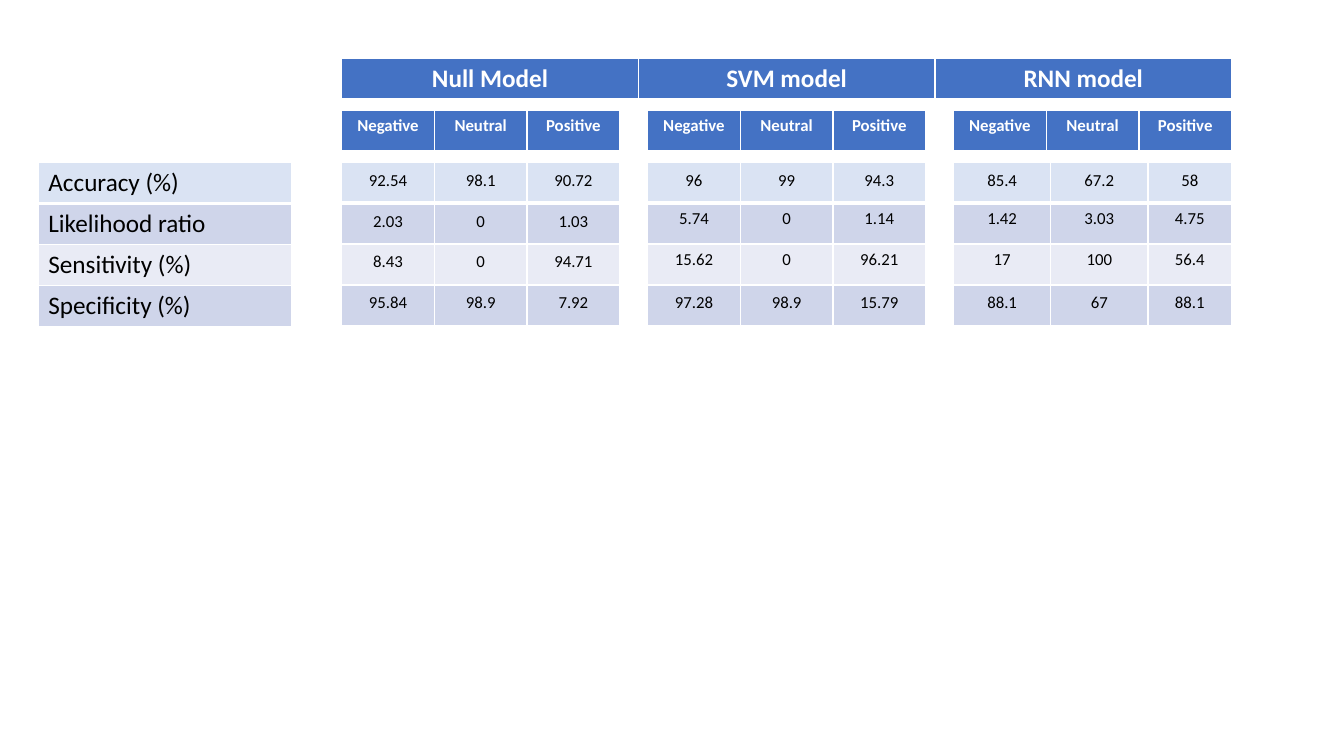
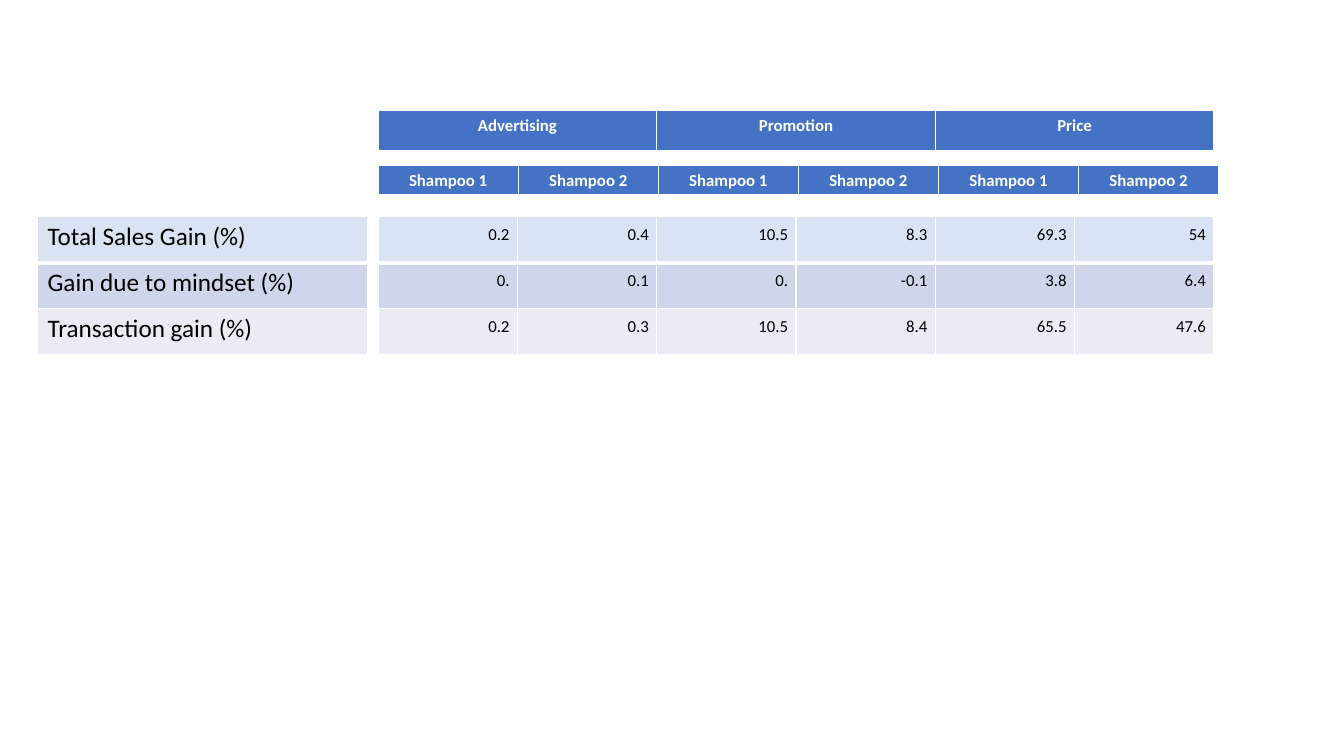
import pptx
import pptx.dml.color
import pptx.enum.text
import pptx.oxml
import pptx.oxml.ns
import pptx.util

Cm = pptx.util.Cm
ALIGN = pptx.enum.text.PP_ALIGN

FONT = "Calibri"
WHITE = "FFFFFF"
BLACK = "000000"
HEADER_FILL = "4472C4"
ROW_FILLS = ["DAE3F3", "CFD5EA", "E9EBF5", "CFD5EA"]
THIN, THICK = 1, 3
TIGHT = (0.2, 0.2)
NORMAL = (0.25, 0.13)
HEADER_TOP = 2.79


def rgb(color):
    return pptx.dml.color.RGBColor.from_string(color)


def set_borders(cell, top, bottom):
    tcPr = cell._tc.get_or_add_tcPr()
    widths = [("lnL", THIN), ("lnR", THIN), ("lnT", top), ("lnB", bottom)]
    for i, (tag, width) in enumerate(widths):
        tcPr.insert(i, pptx.oxml.parse_xml(
            f'<a:{tag} {pptx.oxml.ns.nsdecls("a")} w="{pptx.util.Pt(width)}">'
            f'<a:solidFill><a:srgbClr val="{WHITE}"/></a:solidFill></a:{tag}>'))


def write_cell(cell, text, fill, color, size, align, bold, margins):
    cell.fill.solid()
    cell.fill.fore_color.rgb = rgb(fill)
    side, end = margins
    cell.margin_left = cell.margin_right = Cm(side)
    cell.margin_top = cell.margin_bottom = Cm(end)
    p = cell.text_frame.paragraphs[0]
    p.alignment = align
    r = p.add_run()
    r.text = text
    r.font.name = FONT
    r.font.size = pptx.util.Pt(size)
    r.font.bold = bold
    r.font.color.rgb = rgb(color)


def add_grid(s, left, top, widths, row_height, rows, fills, color, size,
             align, bold=False, margins=NORMAL, normal_rows=()):
    frame = s.shapes.add_table(len(rows), len(widths), Cm(left), Cm(top),
                               Cm(sum(widths)), Cm(row_height * len(rows)))
    table = frame.table
    table.first_row = table.horz_banding = False
    for column, width in zip(table.columns, widths):
        column.width = Cm(width)
    for i, texts in enumerate(rows):
        table.rows[i].height = Cm(row_height)
        for j, text in enumerate(texts):
            cell = table.cell(i, j)
            write_cell(cell, text, fills[i], color, size, align, bold,
                       NORMAL if i in normal_rows else margins)
            set_borders(cell, THICK if i == 1 else THIN,
                        THICK if i == 0 else THIN)


def add_header(s, left, top, width, height, texts, size=12):
    widths = [width / len(texts)] * len(texts)
    add_grid(s, left, top, widths, height, [texts], [HEADER_FILL], WHITE,
             size, ALIGN.CENTER, bold=True)


def add_labels(s, left, top, width, row_height, labels):
    add_grid(s, left, top, [width], row_height, [[t] for t in labels],
             ROW_FILLS, BLACK, 18, ALIGN.LEFT)


def add_values(s, left, top, widths, row_height, rows, align, normal_rows=()):
    add_grid(s, left, top, widths, row_height, rows, ROW_FILLS, BLACK, 12,
             align, margins=TIGHT, normal_rows=normal_rows)


def build_model_slide(s):
    left, top, step, width, row = 8.61, 4.09, 7.71, 7.01, 1.03
    even = [width / 3] * 3
    models = [
        ("Null Model", even, (), [
            ["92.54", "98.1", "90.72"],
            ["2.03", "0", "1.03"],
            ["8.43", "0", "94.71"],
            ["95.84", "98.9", "7.92"]]),
        ("SVM model", even, (1, 2), [
            ["96", "99", "94.3"],
            ["5.74", "0", "1.14"],
            ["15.62", "0", "96.21"],
            ["97.28", "98.9", "15.79"]]),
        ("RNN model", [2.45, 2.45, 2.11], (1, 2), [
            ["85.4", "67.2", "58"],
            ["1.42", "3.03", "4.75"],
            ["17", "100", "56.4"],
            ["88.1", "67", "88.1"]]),
    ]
    add_labels(s, 0.97, top, 6.38, row,
               ["Accuracy (%)", "Likelihood ratio", "Sensitivity (%)",
                "Specificity (%)"])
    add_header(s, left, 1.47, 2 * step + width, row,
               [model[0] for model in models], size=18)
    for i, (_, widths, normal_rows, rows) in enumerate(models):
        x = left + i * step
        add_header(s, x, HEADER_TOP, width, row,
                   ["Negative", "Neutral", "Positive"])
        add_values(s, x, top, widths, row, rows, ALIGN.CENTER, normal_rows)


def build_gain_slide(s):
    left, top, row, column, step = 9.53, 5.46, 1.16, 3.51, 7.06
    drivers = ["Advertising", "Promotion", "Price"]
    add_labels(s, 0.95, top, 8.31, row,
               ["Total Sales Gain (%)", "Gain due to mindset (%)",
                "Transaction gain (%)"])
    add_values(s, left, top, [column] * 6, row, [
        ["0.2", "0.4", "10.5", "8.3", "69.3", "54"],
        ["0.", "0.1", "0.", "-0.1", "3.8", "6.4"],
        ["0.2", "0.3", "10.5", "8.4", "65.5", "47.6"]], ALIGN.RIGHT)
    add_header(s, left, HEADER_TOP, column * 6, 1.03, drivers)
    for i in range(len(drivers)):
        add_header(s, left + i * step, 4.17, step, 0.75,
                   ["Shampoo 1", "Shampoo 2"])


def main():
    prs = pptx.Presentation()
    prs.slide_width = Cm(33.87)
    prs.slide_height = Cm(19.05)
    for build in (build_model_slide, build_gain_slide):
        build(prs.slides.add_slide(prs.slide_layouts[6]))
    prs.save("out.pptx")


if __name__ == "__main__":
    main()
